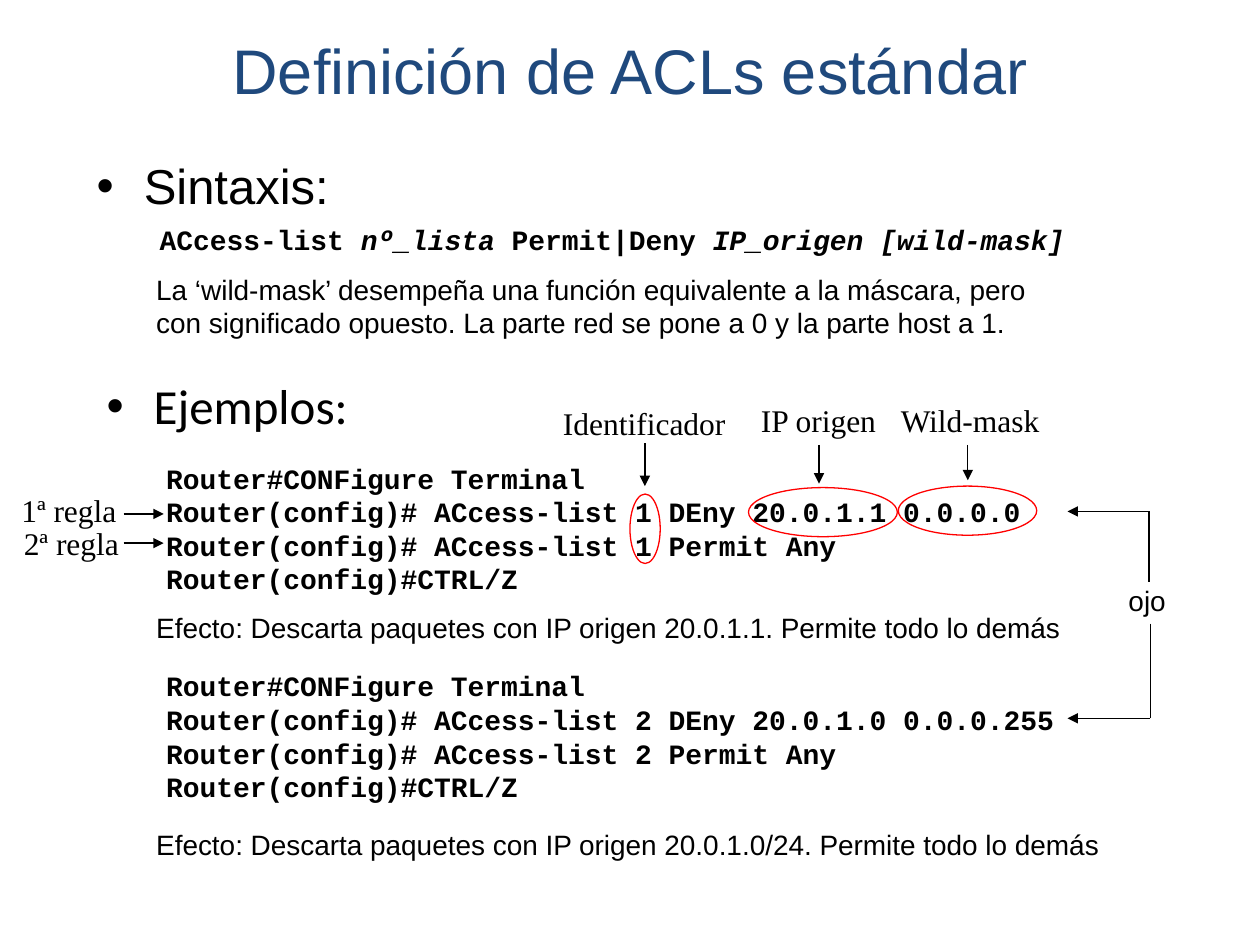
from lxml.etree import SubElement
from pptx import Presentation
from pptx.dml.color import RGBColor
from pptx.enum.shapes import MSO_CONNECTOR, MSO_SHAPE
from pptx.enum.text import MSO_ANCHOR, PP_ALIGN
from pptx.oxml.ns import qn
from pptx.util import Cm, Pt

BLACK = RGBColor(0x00, 0x00, 0x00)
NAVY = RGBColor(0x1F, 0x49, 0x7D)
RED = RGBColor(0xFF, 0x00, 0x00)
SANS, SERIF, CODE = "Arial", "Times New Roman", "Courier New"


def add_run(paragraph, text, font, size, color=BLACK, bold=False, italic=False):
    run = paragraph.add_run()
    run.text = text
    run.font.name = font
    run.font.size = Pt(size)
    run.font.color.rgb = color
    run.font.bold = bold
    run.font.italic = italic


def set_title(slide, text):
    title = slide.shapes.title
    title.left, title.top, title.width, title.height = Cm(1.9), Cm(0.53), Cm(21.6), Cm(2.03)
    title.text_frame.vertical_anchor = MSO_ANCHOR.MIDDLE
    paragraph = title.text_frame.paragraphs[0]
    paragraph.alignment = PP_ALIGN.CENTER
    paragraph.line_spacing = 0.8
    add_run(paragraph, text, SANS, 36, NAVY)


def add_text(slide, left, top, width, height, lines, font, size, bold=False, wrap=False):
    """Each line is a list of (text, italic) runs."""
    box = slide.shapes.add_textbox(Cm(left), Cm(top), Cm(width), Cm(height))
    frame = box.text_frame
    frame.word_wrap = wrap
    for index, runs in enumerate(lines):
        paragraph = frame.add_paragraph() if index else frame.paragraphs[0]
        for text, italic in runs:
            add_run(paragraph, text, font, size, bold=bold, italic=italic)
    return box


def add_label(slide, left, top, width, text, font=SERIF, size=18, height=1.02, wrap=False):
    return add_text(slide, left, top, width, height, [[(text, False)]], font, size, wrap=wrap)


def add_bullet(slide, left, top, text, font):
    box = add_label(slide, left, top, 9.2, text, font, 28, 1.42, wrap=True)
    paragraph = box.text_frame.paragraphs[0]
    paragraph.line_spacing = 0.9
    properties = paragraph._p.get_or_add_pPr()
    properties.set("marL", str(Cm(0.95)))
    properties.set("indent", str(-Cm(0.95)))
    SubElement(properties, qn("a:buFont")).set("typeface", SANS)
    SubElement(properties, qn("a:buChar")).set("char", "•")


def add_example(slide, top, width, number, source):
    router = "Router(config)# ACcess-list"
    commands = ["Router#CONFigure Terminal",
                f"{router} {number} DEny {source}",
                f"{router} {number} Permit Any",
                "Router(config)#CTRL/Z"]
    add_text(slide, 3.1, top, width, 2.97, [[(command, False)] for command in commands],
             CODE, 16, bold=True)


def add_line(slide, start_x, start_y, end_x, end_y, arrow=True):
    line = slide.shapes.add_connector(MSO_CONNECTOR.STRAIGHT, Cm(start_x), Cm(start_y),
                                      Cm(end_x), Cm(end_y))
    line.line.color.rgb = BLACK
    line.line.width = Pt(0.75)
    if arrow:
        SubElement(line.line._get_or_add_ln(), qn("a:tailEnd")).set("type", "triangle")
    SubElement(line._element.spPr, qn("a:effectLst"))


def add_ring(slide, left, top, width, height):
    ring = slide.shapes.add_shape(MSO_SHAPE.OVAL, Cm(left), Cm(top), Cm(width), Cm(height))
    ring.shadow.inherit = False
    ring.fill.background()
    ring.line.color.rgb = RED
    ring.line.width = Pt(0.75)


def main():
    presentation = Presentation()
    presentation.slide_width, presentation.slide_height = Cm(25.4), Cm(19.05)
    slide = presentation.slides.add_slide(presentation.slide_layouts[5])
    set_title(slide, "Definición de ACLs estándar")

    # Syntax
    add_bullet(slide, 1.7, 3.15, "Sintaxis:", SANS)
    syntax = [("ACcess-list ", False), ("nº_lista", True),
              (" Permit|Deny ", False), ("IP_origen [wild-mask]", True)]
    add_text(slide, 2.97, 4.37, 18.85, 0.94, [syntax], CODE, 16, bold=True)
    add_label(slide, 2.9, 5.36, 18.8,
              "La ‘wild-mask’ desempeña una función equivalente a la máscara, pero con "
              "significado opuesto. La parte red se pone a 0 y la parte host a 1.",
              SANS, 16, 1.63, wrap=True)

    # Examples and their effects
    add_bullet(slide, 1.9, 7.57, "Ejemplos:", "Calibri")
    add_example(slide, 9.17, 17.83, 1, "20.0.1.1 0.0.0.0")
    add_example(slide, 13.36, 18.52, 2, "20.0.1.0 0.0.0.255")
    for top, width, source in ((12.19, 18.82, "20.0.1.1"), (16.56, 19.61, "20.0.1.0/24")):
        add_label(slide, 2.9, top, width,
                  f"Efecto: Descarta paquetes con IP origen {source}. Permite todo lo demás",
                  SANS, 16, 0.94)

    # Parts of the command: label, arrow, ring
    add_label(slide, 11.1, 8.03, 3.78, "Identificador")
    add_label(slide, 15.09, 7.95, 2.84, "IP origen")
    add_label(slide, 17.91, 7.95, 3.4, "Wild-mask", wrap=True)
    for x, start_y, end_y in ((13, 8.94, 9.8), (16.51, 8.97, 9.75), (19.51, 8.97, 9.68)):
        add_line(slide, x, start_y, x, end_y)
    for ring in ((12.7, 9.96, 0.61, 1.4), (15.09, 9.83, 3, 0.99), (18.11, 9.8, 2.79, 0.99)):
        add_ring(slide, *ring)

    # Rule numbers
    for left, top, text, arrow_y in ((0.18, 9.78, "1ª regla", 10.36),
                                     (0.23, 10.44, "2ª regla", 10.95)):
        add_label(slide, left, top, 2.44, text)
        add_line(slide, 2.49, arrow_y, 3.3, arrow_y)

    # Warning bracket
    add_label(slide, 22.5, 11.63, 1.27, "ojo", SANS, 16, 0.94)
    for x, label_y, rule_y in ((23.16, 11.73, 10.31), (23.19, 12.57, 14.48)):
        add_line(slide, x, label_y, x, rule_y, arrow=False)
        add_line(slide, x, rule_y, 21.52, rule_y)

    presentation.save("out.pptx")


main()
